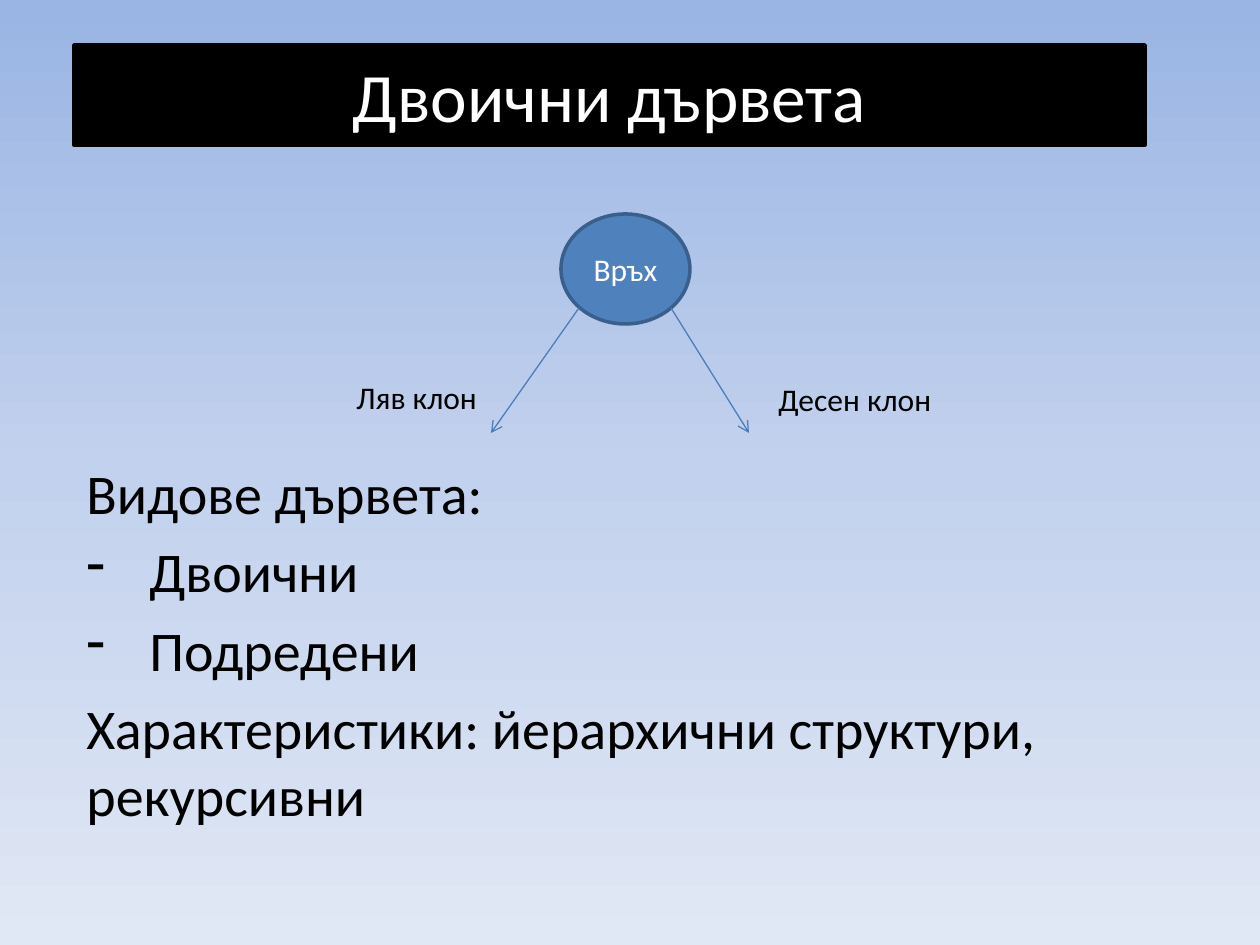
from copy import deepcopy

from lxml import etree
from pptx import Presentation
from pptx.dml.color import RGBColor
from pptx.enum.shapes import MSO_CONNECTOR, MSO_SHAPE
from pptx.enum.text import MSO_ANCHOR, MSO_AUTO_SIZE, PP_ALIGN
from pptx.oxml.ns import qn
from pptx.util import Emu, Pt

LEFT, CENTER = PP_ALIGN.LEFT, PP_ALIGN.CENTER
TOP, MIDDLE = MSO_ANCHOR.TOP, MSO_ANCHOR.MIDDLE
FIXED, GROW = MSO_AUTO_SIZE.NONE, MSO_AUTO_SIZE.SHAPE_TO_FIT_TEXT
OVAL, STRAIGHT = MSO_SHAPE.OVAL, MSO_CONNECTOR.STRAIGHT
SCALE = 914400 / 126
TITLE_ONLY = 5
FONT = "Calibri"
BLACK, WHITE = "000000", "FFFFFF"
SKY = ["9AB5E4", "C2D1ED", "E1E8F5"]


def px(n):
    return Emu(round(n * SCALE))


def rgb(color):
    return RGBColor.from_string(color)


def paint(shape, fill, line):
    shape.fill.solid()
    shape.fill.fore_color.rgb = rgb(fill)
    shape.line.color.rgb = rgb(line)
    shape.line.width = Pt(2)


def write(shape, lines, size=18, color=BLACK, align=LEFT, anchor=TOP,
          wrap=True, fit=FIXED, gap=0):
    """Fill a shape with lines; a line that starts with "- " is a bullet."""
    frame = shape.text_frame
    frame.word_wrap, frame.auto_size = wrap, fit
    frame.vertical_anchor = anchor
    for i, line in enumerate(lines):
        para = frame.add_paragraph() if i else frame.paragraphs[0]
        para.alignment, para.space_before = align, Pt(gap)
        run = para.add_run()
        run.text = line.removeprefix("- ")
        run.font.name, run.font.size = FONT, Pt(size)
        run.font.color.rgb = rgb(color)
        if line.startswith("- "):
            dash(para)


def dash(para):
    props = para._p.get_or_add_pPr()
    indent = px(63)
    props.set("marL", str(indent))
    props.set("indent", str(-indent))
    etree.SubElement(props, qn("a:buChar"), char="-")


def add_text(slide, box, lines, **style):
    write(slide.shapes.add_textbox(*map(px, box)), lines, **style)


def add_node(slide, box, label):
    node = slide.shapes.add_shape(OVAL, *map(px, box))
    node.shadow.inherit = False
    paint(node, "4F81BD", "3A5F8C")
    write(node, [label], color=WHITE, align=CENTER, anchor=MIDDLE)


def add_arrow(slide, start, end):
    arrow = slide.shapes.add_connector(STRAIGHT, *map(px, start + end))
    arrow.line.color.rgb = rgb("4B7EBC")
    arrow.line.width = Pt(0.75)
    etree.SubElement(arrow.line._get_or_add_ln(), qn("a:tailEnd"), type="arrow")
    etree.SubElement(arrow._element.spPr, qn("a:effectLst"))


def set_sky(slide):
    fill = slide.background.fill
    fill.gradient()
    fill.gradient_angle = 270
    first = slide._element.xpath(".//a:gs")[0]
    first.addnext(deepcopy(first))
    for i, (stop, color) in enumerate(zip(fill.gradient_stops, SKY)):
        stop.position = i / 2
        stop.color.rgb = rgb(color)


def set_title(slide, box, text):
    title = slide.shapes.title
    title.left, title.top, title.width, title.height = map(px, box)
    paint(title, BLACK, BLACK)
    write(title, [text], size=39.6, color=WHITE, align=CENTER, anchor=MIDDLE)


def main():
    deck = Presentation()
    deck.slide_width, deck.slide_height = px(1260), px(945)
    slide = deck.slides.add_slide(deck.slide_layouts[TITLE_ONLY])
    set_sky(slide)
    set_title(slide, (74, 45, 1071, 100), "Двоични дървета")

    # Kinds and traits of trees
    add_text(slide, (74, 452, 1071, 417), [
        "Видове дървета:",
        "- Двоични",
        "- Подредени",
        "Характеристики: йерархични структури, рекурсивни",
    ], size=32, gap=6.4)

    # Root with its two branches
    add_node(slide, (561, 214, 129, 110), "Връх")
    add_arrow(slide, (579, 308), (491, 433))
    add_arrow(slide, (671, 308), (749, 433))
    for box, label in [((344, 372, 147, 50), "Ляв клон"),
                       ((766, 374, 180, 50), "Десен клон")]:
        add_text(slide, box, [label], wrap=False, fit=GROW)

    deck.save("out.pptx")


if __name__ == "__main__":
    main()
